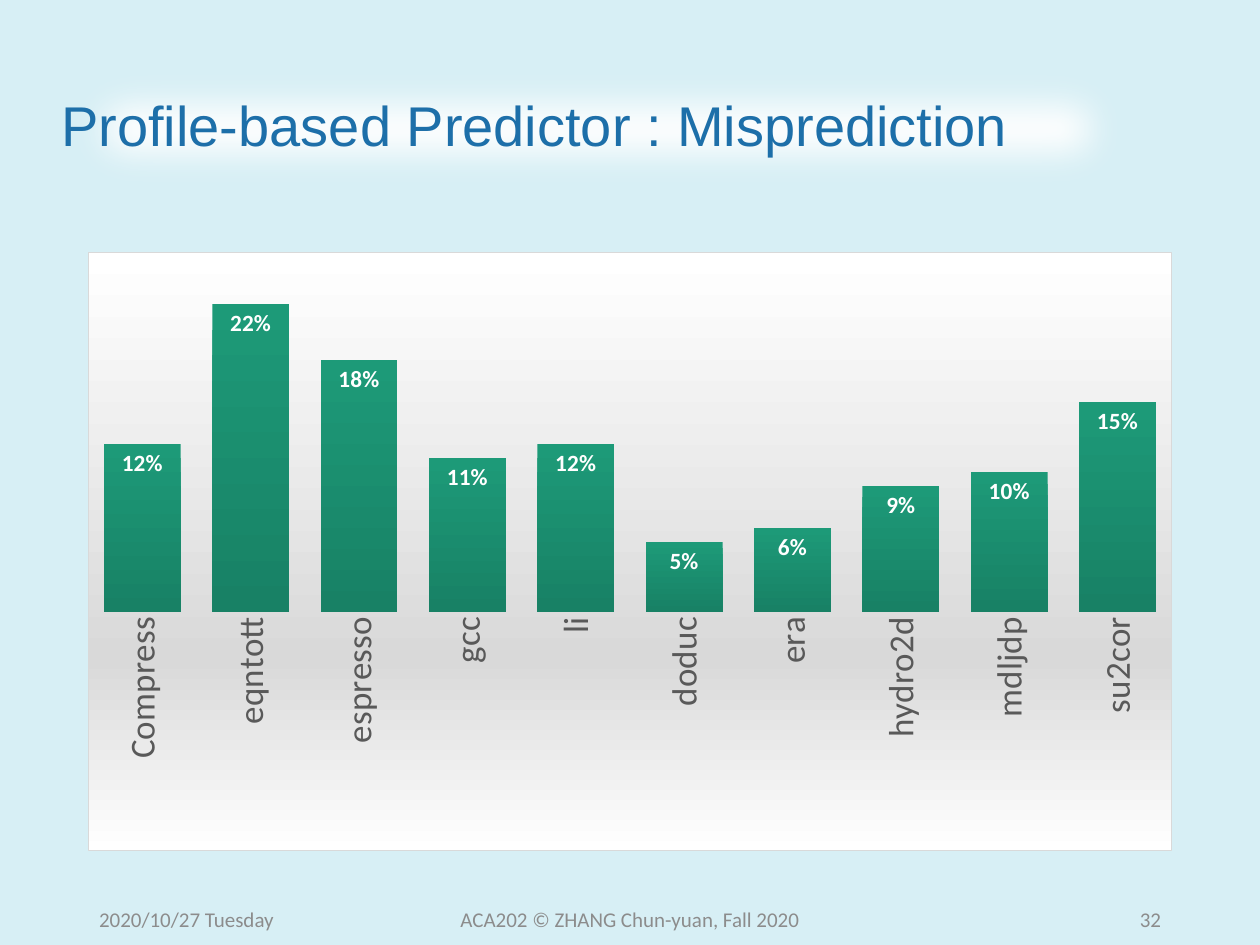
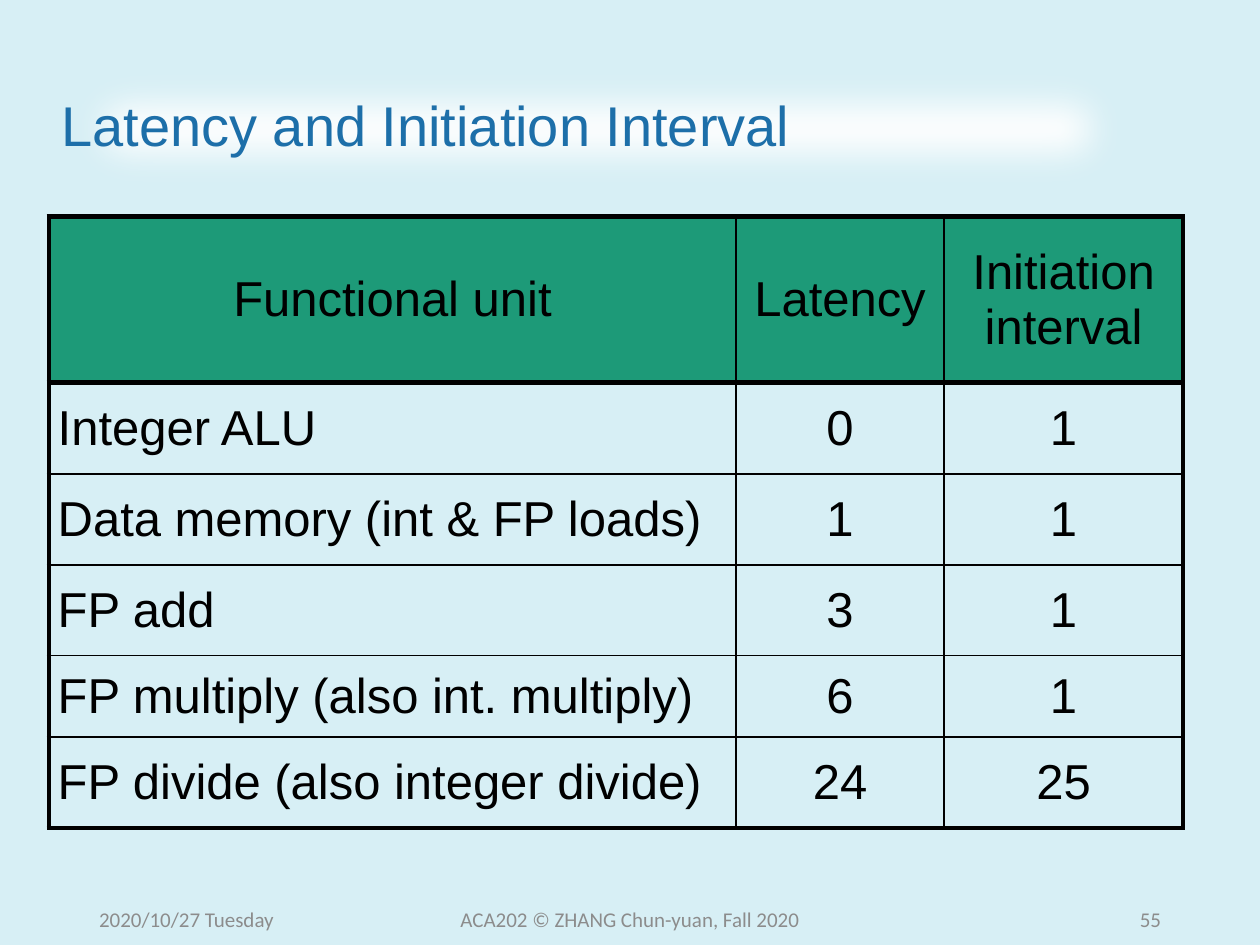
from lxml.etree import fromstring
from pptx import Presentation
from pptx.chart.data import CategoryChartData
from pptx.dml.color import RGBColor
from pptx.enum.chart import XL_CHART_TYPE, XL_LABEL_POSITION, XL_TICK_LABEL_POSITION, XL_TICK_MARK
from pptx.enum.shapes import MSO_SHAPE
from pptx.enum.text import MSO_ANCHOR, PP_ALIGN
from pptx.oxml import parse_xml
from pptx.oxml.ns import nsdecls, qn
from pptx.util import Pt

COLORS = {
    "background": "D7EFF5",
    "title": "1D6FA9",
    "green": "1D9A78",
    "dark_green": "188165",
    "white": "FFFFFF",
    "black": "000000",
    "grey": "D9D9D9",
    "axis": "595959",
    "footer": "8C8C8C",
}
TITLE_FONT = {"name": "Arial", "size": Pt(32)}
FOOTER_FONT = {"name": "Calibri", "size": Pt(12)}
CELL_FONT = {"name": "Arial", "size": Pt(28)}
AXIS_FONT = {"name": "Calibri", "size": Pt(20)}
LABEL_FONT = {"name": "Calibri", "size": Pt(13.3), "bold": True}


def set_font(font, values, color):
    for name, value in values.items():
        setattr(font, name, value)
    font.color.rgb = RGBColor.from_string(COLORS[color])


def gradient(*stops):
    """Return a gradFill that runs from top to bottom through (percent, color) stops."""
    stops_xml = "".join(
        f'<a:gs pos="{percent * 1000}"><a:srgbClr val="{COLORS[color]}"/></a:gs>'
        for percent, color in stops
    )
    return parse_xml(
        f'<a:gradFill {nsdecls("a")} rotWithShape="1"><a:gsLst>{stops_xml}</a:gsLst>'
        '<a:lin ang="5400000" scaled="0"/></a:gradFill>'
    )


presentation = Presentation()
presentation.slide_width, presentation.slide_height = Pt(720), Pt(540)

# Shared frame: background, soft white title band and footers
slides = []
for title, number in [
    ("Profile-based Predictor : Misprediction", "32"),
    ("Latency and Initiation Interval", "55"),
]:
    slide = presentation.slides.add_slide(presentation.slide_layouts[6])
    slides.append(slide)
    slide.background.fill.solid()
    slide.background.fill.fore_color.rgb = RGBColor.from_string(COLORS["background"])

    band = slide.shapes.add_shape(MSO_SHAPE.RECTANGLE, Pt(28), Pt(29), Pt(626), Pt(88.5))
    band.fill.solid()
    band.fill.fore_color.rgb = RGBColor.from_string(COLORS["white"])
    band.line.fill.background()
    band._element.spPr.append(parse_xml(
        f'<a:effectLst {nsdecls("a")}><a:softEdge rad="{Pt(25)}"/></a:effectLst>'
    ))
    band.text_frame.vertical_anchor = MSO_ANCHOR.MIDDLE
    paragraph = band.text_frame.paragraphs[0]
    paragraph.text = title
    paragraph.alignment = PP_ALIGN.LEFT
    paragraph.line_spacing = 0.9
    set_font(paragraph.runs[0].font, TITLE_FONT, "title")

    for text, left, width, alignment in [
        ("2020/10/27 Tuesday", 49.5, 162, PP_ALIGN.LEFT),
        ("ACA202 © ZHANG Chun-yuan, Fall 2020", 238.5, 243, PP_ALIGN.CENTER),
        (number, 508.5, 162, PP_ALIGN.RIGHT),
    ]:
        footer = slide.shapes.add_textbox(Pt(left), Pt(511), Pt(width), Pt(28.75))
        footer.text_frame.word_wrap = True
        footer.text_frame.vertical_anchor = MSO_ANCHOR.MIDDLE
        paragraph = footer.text_frame.paragraphs[0]
        paragraph.text = text
        paragraph.alignment = alignment
        set_font(paragraph.runs[0].font, FOOTER_FONT, "footer")

chart_slide, table_slide = slides

# Misprediction rates
rates = {
    "Compress": 0.12, "eqntott": 0.22, "espresso": 0.18, "gcc": 0.11, "li": 0.12,
    "doduc": 0.05, "era": 0.06, "hydro2d": 0.09, "mdljdp": 0.10, "su2cor": 0.15,
}
chart_data = CategoryChartData(number_format="0%")
chart_data.categories = list(rates)
chart_data.add_series("Series 1", list(rates.values()))
chart = chart_slide.shapes.add_chart(
    XL_CHART_TYPE.COLUMN_CLUSTERED, Pt(50), Pt(144), Pt(620), Pt(342.5), chart_data
).chart
chart.has_title = False
chart.has_legend = False
set_font(chart.font, {"name": "Calibri", "size": Pt(10)}, "black")

category_axis = chart.category_axis
category_axis.major_tick_mark = XL_TICK_MARK.NONE
category_axis.tick_label_position = XL_TICK_LABEL_POSITION.NEXT_TO_AXIS
category_axis.format.line.fill.background()
set_font(category_axis.tick_labels.font, AXIS_FONT, "axis")
category_axis._element.find(f'{qn("c:txPr")}/{qn("a:bodyPr")}').set("rot", "-5400000")

value_axis = chart.value_axis
value_axis.minimum_scale, value_axis.maximum_scale = 0, 0.25
value_axis.has_major_gridlines = False
value_axis.visible = False

plot = chart.plots[0]
plot.gap_width = 41
plot.vary_by_categories = False
plot.has_data_labels = True
labels = plot.data_labels
for name, value in {
    "show_value": True,
    "number_format": "0%",
    "number_format_is_linked": False,
    "position": XL_LABEL_POSITION.INSIDE_END,
}.items():
    setattr(labels, name, value)
set_font(labels.font, LABEL_FONT, "white")
series = plot.series[0]
series.invert_if_negative = False
series._element.get_or_add_spPr().append(gradient((0, "green"), (100, "dark_green")))

chart_area = parse_xml(
    f'<c:spPr {nsdecls("c", "a")}><a:ln w="{Pt(0.75)}"><a:solidFill>'
    f'<a:srgbClr val="{COLORS["grey"]}"/></a:solidFill></a:ln></c:spPr>'
)
chart_area.insert(0, gradient((0, "white"), (68, "grey"), (100, "white")))
chart_space = chart._chartSpace
chart_space.find(qn("c:chart")).addnext(chart_area)

plot_area = chart_space.find(f'{qn("c:chart")}/{qn("c:plotArea")}')
for layout in plot_area.findall(qn("c:layout")):
    plot_area.remove(layout)
plot_area.insert(0, fromstring(
    f'<c:layout {nsdecls("c")}><c:manualLayout><c:layoutTarget val="inner"/>'
    '<c:xMode val="edge"/><c:yMode val="edge"/><c:x val="0"/><c:y val="0.016"/>'
    '<c:w val="1"/><c:h val="0.585"/></c:manualLayout></c:layout>'
))

# Functional unit table
rows = [
    ("Functional unit", "Latency", "Initiation interval"),
    ("Integer ALU", "0", "1"),
    ("Data memory (int & FP loads)", "1", "1"),
    ("FP add", "3", "1"),
    ("FP multiply (also int. multiply)", "6", "1"),
    ("FP divide (also integer divide)", "24", "25"),
]
column_widths = [392.5, 119, 136.5]
row_heights = [95, 52, 52, 52, 46.5, 52]
last_row, last_column = len(rows) - 1, len(column_widths) - 1
table = table_slide.shapes.add_table(
    len(rows), len(column_widths), Pt(28), Pt(123.75), Pt(sum(column_widths)), Pt(sum(row_heights))
).table
table.first_row = False
table.horz_banding = False
for column, width in zip(table.columns, column_widths):
    column.width = Pt(width)
for row, height in zip(table.rows, row_heights):
    row.height = Pt(height)

for r, texts in enumerate(rows):
    for c, text in enumerate(texts):
        cell = table.cell(r, c)
        for name, value in {
            "vertical_anchor": MSO_ANCHOR.MIDDLE,
            "margin_left": Pt(5), "margin_right": Pt(5),
            "margin_top": Pt(3), "margin_bottom": Pt(3),
        }.items():
            setattr(cell, name, value)
        paragraph = cell.text_frame.paragraphs[0]
        paragraph.text = text
        paragraph.alignment = PP_ALIGN.LEFT if r > 0 and c == 0 else PP_ALIGN.CENTER
        set_font(paragraph.runs[0].font, CELL_FONT, "black")
        if r == 0:
            cell.fill.solid()
            cell.fill.fore_color.rgb = RGBColor.from_string(COLORS["green"])
        else:
            cell.fill.background()

        thick_edges = {
            "lnL": c == 0,
            "lnR": c == last_column,
            "lnT": r <= 1,
            "lnB": r in (0, last_row),
        }
        for position, (edge, thick) in enumerate(thick_edges.items()):
            cell._tc.get_or_add_tcPr().insert(position, parse_xml(
                f'<a:{edge} {nsdecls("a")} w="{Pt(3 if thick else 1)}"><a:solidFill>'
                f'<a:srgbClr val="{COLORS["black"]}"/></a:solidFill></a:{edge}>'
            ))

presentation.save("out.pptx")
